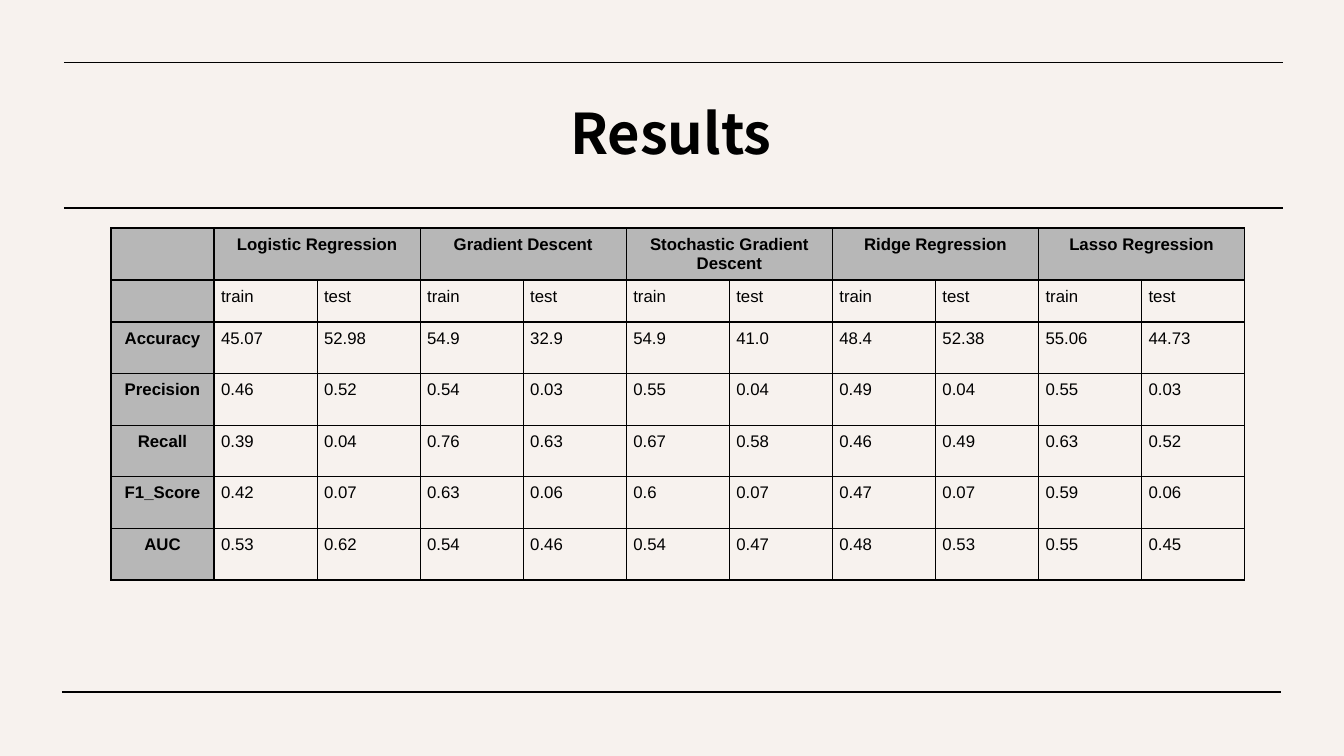
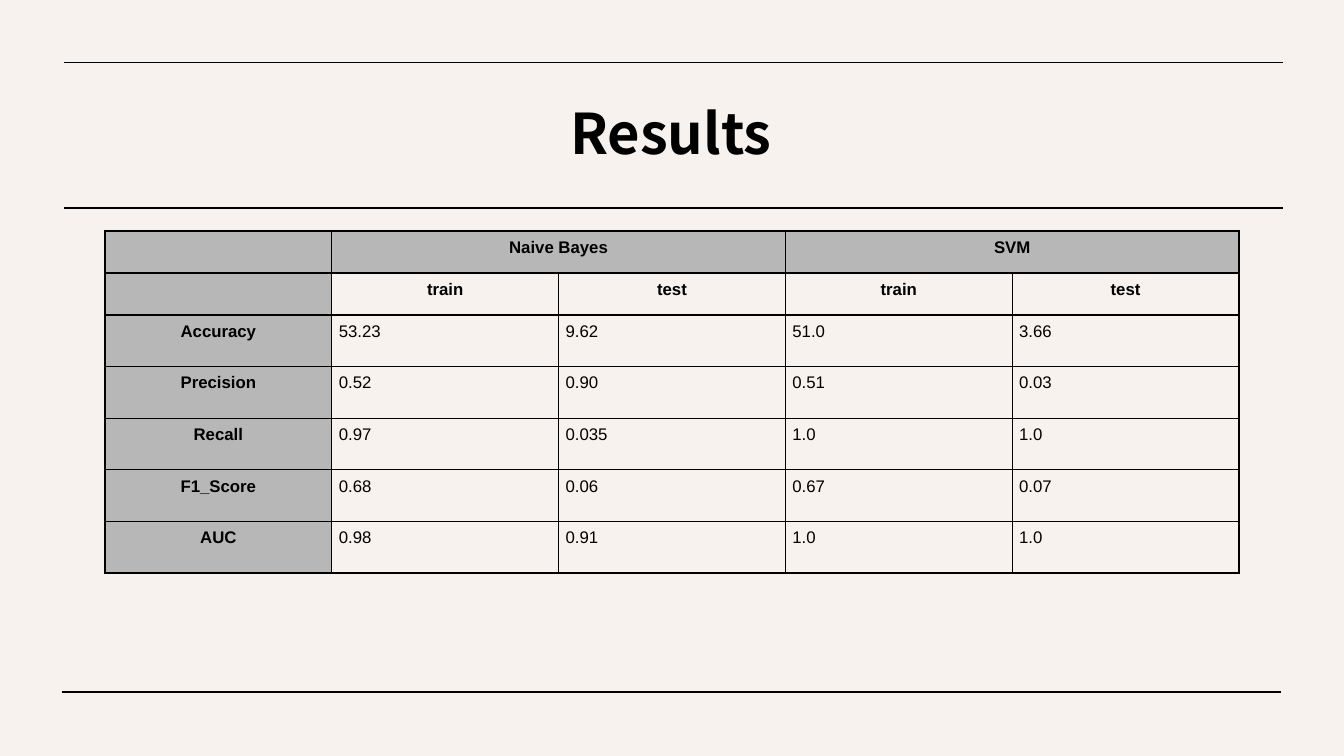
from lxml.etree import SubElement
from pptx import Presentation
from pptx.dml.color import RGBColor as RGB
from pptx.enum.shapes import MSO_CONNECTOR as CONNECTOR
from pptx.enum.text import MSO_ANCHOR as ANCHOR, PP_ALIGN as ALIGN
from pptx.oxml.ns import qn
from pptx.util import Emu, Pt

COLORS = {"page": "F7F2EE", "ink": "000000", "header": "B7B7B7"}
TITLE_FONT = {"name": "Noto Sans CJK KR", "size": Pt(40), "bold": True}
CELL_FONT = {"name": "Arial", "size": Pt(12)}
TITLE_BOX = {"left": 62, "top": 76, "width": 1218, "height": 120}
RULES = [(62, 1281, 692), (64, 1283, 208), (64, 1283, 63)]
TABLE_WIDTH = 1134
BODY_HEIGHT = 258
SUBHEADER_HEIGHT = 42
CELL_MARGIN = 7
METRICS = ["Accuracy", "Precision", "Recall", "F1_Score", "AUC"]

RESULTS = [
    {
        "left": 111, "top": 228, "header_height": 52, "bold_subheader": False,
        "models": ["Logistic Regression", "Gradient Descent", "Stochastic Gradient Descent",
                   "Ridge Regression", "Lasso Regression"],
        "scores": [
            ["45.07", "52.98", "54.9", "32.9", "54.9", "41.0", "48.4", "52.38", "55.06", "44.73"],
            ["0.46", "0.52", "0.54", "0.03", "0.55", "0.04", "0.49", "0.04", "0.55", "0.03"],
            ["0.39", "0.04", "0.76", "0.63", "0.67", "0.58", "0.46", "0.49", "0.63", "0.52"],
            ["0.42", "0.07", "0.63", "0.06", "0.6", "0.07", "0.47", "0.07", "0.59", "0.06"],
            ["0.53", "0.62", "0.54", "0.46", "0.54", "0.47", "0.48", "0.53", "0.55", "0.45"],
        ],
    },
    {
        "left": 105, "top": 231, "header_height": 42, "bold_subheader": True,
        "models": ["Naive Bayes", "SVM"],
        "scores": [
            ["53.23", "9.62", "51.0", "3.66"],
            ["0.52", "0.90", "0.51", "0.03"],
            ["0.97", "0.035", "1.0", "1.0"],
            ["0.68", "0.06", "0.67", "0.07"],
            ["0.98", "0.91", "1.0", "1.0"],
        ],
    },
]


def px(pixels):
    return Emu(round(pixels * 914400 / 100.8))


def write(para, text, font, align):
    para.alignment = align
    span = para.add_run()
    span.text = text
    for name, value in font.items():
        setattr(span.font, name, value)
    span.font.color.rgb = RGB.from_string(COLORS["ink"])


deck = Presentation()
deck.slide_width, deck.slide_height = px(1344), px(756)
master = deck.slide_master
master.background.fill.solid()
master.background.fill.fore_color.rgb = RGB.from_string(COLORS["page"])
layout = deck.slide_layouts.get_by_name("Title Only")
for name, value in TITLE_BOX.items():
    setattr(layout.placeholders[0], name, px(value))

pages = [deck.slides.add_slide(layout) for result in RESULTS]
for left, right, y in RULES:
    rule = pages[0].shapes.add_connector(CONNECTOR.STRAIGHT, px(left), px(y), px(right), px(y))
    rule.line.width = Pt(0.75)
    rule.line.color.rgb = RGB.from_string(COLORS["ink"])
    SubElement(rule._element.spPr, qn("a:effectLst"))
    master.shapes._spTree.append(rule._element)

for page, result in zip(pages, RESULTS):
    title = page.shapes.title.text_frame
    title.vertical_anchor = ANCHOR.MIDDLE
    title.paragraphs[0].line_spacing = 0.9
    write(title.paragraphs[0], "Results", TITLE_FONT, ALIGN.CENTER)

    models = result["models"]
    header = [""] + [text for model in models for text in (model, "")]
    subheader = [""] + ["train", "test"] * len(models)
    body = [[metric] + scores for metric, scores in zip(METRICS, result["scores"])]
    rows = [header, subheader] + body
    heights = [px(result["header_height"]), px(SUBHEADER_HEIGHT)]
    heights += [px(BODY_HEIGHT) // len(body)] * len(body)

    table = page.shapes.add_table(
        len(rows), len(header), px(result["left"]), px(result["top"]),
        px(TABLE_WIDTH), Emu(sum(heights))).table
    table.first_row = table.horz_banding = False
    for column in table.columns:
        column.width = px(TABLE_WIDTH) // len(header)

    for row_index, row in enumerate(rows):
        table.rows[row_index].height = heights[row_index]
        for column_index, text in enumerate(row):
            cell = table.cell(row_index, column_index)
            for side in ("left", "right", "top", "bottom"):
                setattr(cell, "margin_" + side, px(CELL_MARGIN))
            properties = cell._tc.get_or_add_tcPr()
            for edge in ("a:lnL", "a:lnR", "a:lnT", "a:lnB"):
                border = SubElement(properties, qn(edge), w=str(Pt(1)))
                fill = SubElement(border, qn("a:solidFill"))
                SubElement(fill, qn("a:srgbClr"), val=COLORS["ink"])

            shaded = row_index == 0 or column_index == 0
            if shaded:
                cell.fill.solid()
                cell.fill.fore_color.rgb = RGB.from_string(COLORS["header"])
            else:
                cell.fill.background()

            para = cell.text_frame.paragraphs[0]
            if text:
                bold = shaded or (row_index == 1 and result["bold_subheader"])
                write(para, text, {**CELL_FONT, "bold": bold}, ALIGN.CENTER if bold else ALIGN.LEFT)
            else:
                SubElement(para._p, qn("a:endParaRPr"), sz="1200")

    for column_index in range(1, len(header), 2):
        table.cell(0, column_index).merge(table.cell(0, column_index + 1))

deck.save("out.pptx")
